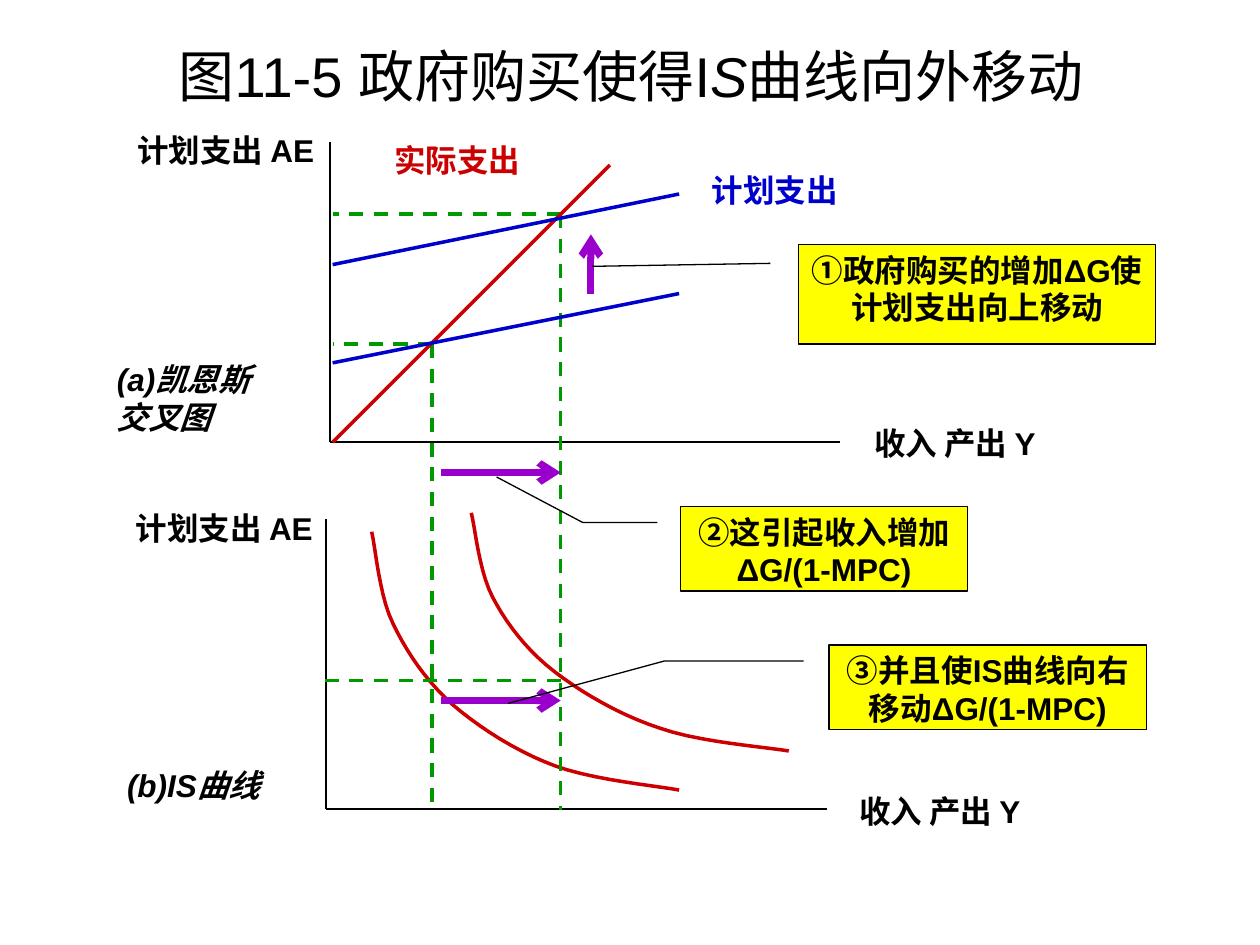
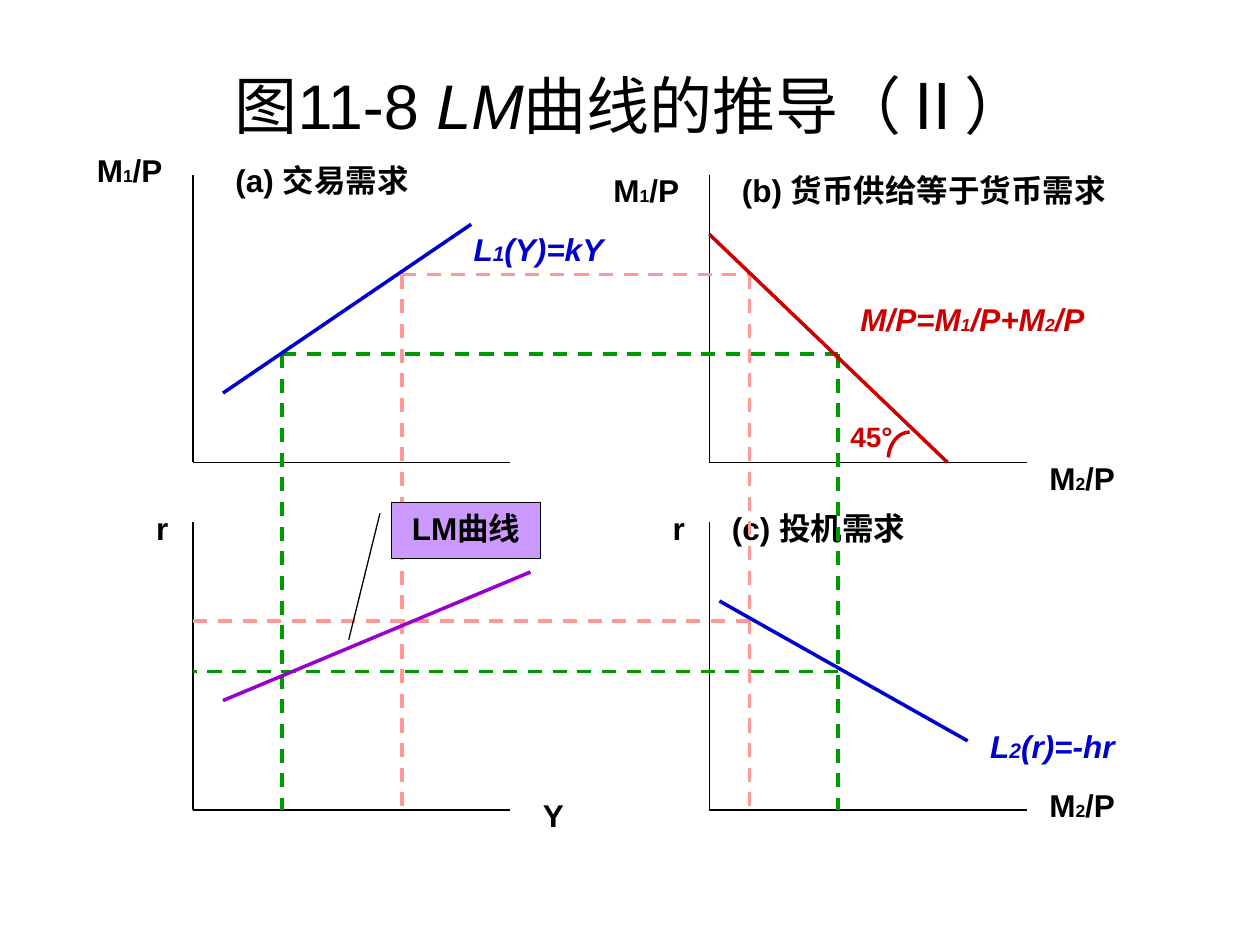
from lxml import etree
from pptx import Presentation
from pptx.dml.color import RGBColor
from pptx.enum.dml import MSO_LINE
from pptx.enum.shapes import MSO_CONNECTOR, MSO_SHAPE
from pptx.enum.text import MSO_ANCHOR, MSO_AUTO_SIZE, PP_ALIGN
from pptx.oxml.ns import qn
from pptx.util import Pt

PX = 9144
FONT = "Arial"
BLACK = RGBColor(0x00, 0x00, 0x00)
RED = RGBColor(0xCC, 0x00, 0x00)
BLUE = RGBColor(0x00, 0x00, 0xCC)
GREEN = RGBColor(0x00, 0x99, 0x00)
PINK = RGBColor(0xFF, 0x99, 0x99)
PURPLE = RGBColor(0x99, 0x00, 0xCC)
YELLOW = RGBColor(0xFF, 0xFF, 0x00)
LILAC = RGBColor(0xCC, 0x99, 0xFF)
DASH = MSO_LINE.DASH
STRAIGHT = MSO_CONNECTOR.STRAIGHT
CALLOUT_1 = MSO_SHAPE.LINE_CALLOUT_1
CALLOUT_2 = MSO_SHAPE.LINE_CALLOUT_2
CENTER = PP_ALIGN.CENTER
MIDDLE = MSO_ANCHOR.MIDDLE
FIT_SHAPE = MSO_AUTO_SIZE.SHAPE_TO_FIT_TEXT
NO_FIT = MSO_AUTO_SIZE.NONE
STEPS = 10


def add_run(paragraph, text, size, color=BLACK, bold=True, italic=False):
    run = paragraph.add_run()
    run.text = text
    run.font.name = FONT
    run.font.size = Pt(size)
    run.font.bold = bold
    run.font.italic = italic
    run.font.color.rgb = color


def add_line(slide, x1, y1, x2, y2, color, width=2, dashed=False, arrow=False):
    line = slide.shapes.add_connector(STRAIGHT, x1 * PX, y1 * PX, x2 * PX, y2 * PX)
    line.line.color.rgb = color
    line.line.width = Pt(width)
    if dashed:
        line.line.dash_style = DASH
    properties = line._element.spPr
    if arrow:
        etree.SubElement(properties.find(qn("a:ln")), qn("a:tailEnd"), type="arrow")
    etree.SubElement(properties, qn("a:effectLst"))


M1_P = [("M", 18), ("1", 10), ("/P", 18)]
M2_P = [("M", 18), ("2", 10), ("/P", 18)]

is_shift = {
    "title": [("图11-5 政府购买使得I", False), ("S", True), ("曲线向外移动", False)],
    "title_top": 13,
    "title_size": 32,
    "labels": [
        (303, 107, 155, [("实际支出", 18)], RED, False),
        (555, 131, 155, [("计划支出", 18)], BLUE, False),
        (99, 99, 165, [("计划支出 AE", 18)], BLACK, False),
        (684, 332, 178, [("收入 产出 Y", 18)], BLACK, False),
        (83, 281, 138, [("(a)凯恩斯交叉图", 18)], BLACK, True),
        (98, 399, 162, [("计划支出 AE", 18)], BLACK, False),
        (672, 624, 175, [("收入 产出 Y", 18)], BLACK, False),
        (91, 603, 138, [("(b)IS曲线", 18)], BLACK, True),
    ],
    "curves": [
        [(295, 422), (298, 434), (301, 473), (312, 495), (323, 518), (338, 540), (359, 559),
         (381, 578), (411, 597), (441, 608), (471, 619), (523, 624), (539, 627)],
        [(374, 407), (377, 418), (380, 453), (391, 474), (402, 495), (418, 516), (440, 533),
         (462, 550), (493, 568), (524, 578), (555, 589), (609, 593), (626, 596)],
    ],
    "guides": [
        (343, 273, 343, 643, GREEN),
        (445, 170, 445, 643, GREEN),
        (343, 273, 264, 273, GREEN),
        (445, 170, 264, 170, GREEN),
        (445, 540, 256, 540, GREEN),
    ],
    "graphs": [
        (264, 351, 484, 131, RED),
        (264, 288, 539, 233, BLUE),
        (264, 210, 539, 154, BLUE),
    ],
    "arrows": [(469, 233, 469, 186), (350, 375, 445, 375), (350, 556, 445, 556)],
    "axes": [(262, 113, 351, 667), (259, 412, 642, 656)],
    "callouts": [
        (CALLOUT_1, 634, 194, 283, 79, YELLOW, "①政府购买的增加ΔG使计划支出向上移动",
         [0.19, -0.08, 0.22, -0.58]),
        (CALLOUT_2, 540, 402, 228, 67, YELLOW, "②这引起收入增加ΔG/(1-MPC)",
         [0.19, -0.08, 0.19, -0.34, -0.35, -0.64]),
        (CALLOUT_2, 658, 512, 252, 67, YELLOW, "③并且使IS曲线向右移动ΔG/(1-MPC)",
         [0.19, -0.08, 0.19, -0.52, 0.69, -1.01]),
    ],
}

lm_derivation = {
    "title": [("图11-8 ", False), ("LM", True), ("曲线的推导（Ⅱ）", False)],
    "title_top": 36,
    "title_size": 36,
    "labels": [
        (366, 178, 211, [("L", 18), ("1", 12), ("(Y)=kY", 18)], BLUE, True),
        (177, 123, 170, [("(a) 交易需求", 18)], BLACK, False),
        (67, 115, 82, M1_P, BLACK, False),
        (579, 131, 346, [("(b) 货币供给等于货币需求", 18)], BLACK, False),
        (477, 131, 82, M1_P, BLACK, False),
        (823, 359, 110, M2_P, BLACK, False),
        (823, 619, 87, M2_P, BLACK, False),
        (571, 399, 181, [("(c) 投机需求", 18)], BLACK, False),
        (524, 399, 32, [("r", 18)], BLACK, False),
        (114, 399, 31, [("r", 18)], BLACK, False),
        (421, 627, 31, [("Y", 18)], BLACK, False),
        (673, 233, 217,
         [("M/P=M", 18), ("1", 10), ("/P+M", 18), ("2", 10), ("/P", 18)], RED, True),
        (776, 572, 211, [("L", 18), ("2", 12), ("(r)=-hr", 18)], BLUE, True),
        (665, 328, 97, [("45°", 16)], RED, False),
    ],
    "curves": [[(722, 343), (713, 343), (706, 352), (705, 363)]],
    "guides": [
        (224, 281, 224, 643, GREEN),
        (224, 281, 665, 281, GREEN),
        (665, 281, 665, 643, GREEN),
        (665, 533, 153, 533, GREEN),
        (319, 218, 319, 643, PINK),
        (319, 218, 595, 218, PINK),
        (595, 218, 595, 643, PINK),
        (595, 493, 153, 493, PINK),
    ],
    "graphs": [
        (177, 312, 374, 178, BLUE),
        (563, 186, 752, 367, RED),
        (571, 477, 768, 588, BLUE),
        (177, 556, 421, 454, PURPLE),
    ],
    "arrows": [],
    "axes": [(x, top, bottom, x + 252)
             for x in (153, 563) for top, bottom in ((139, 367), (414, 643))],
    "callouts": [
        (CALLOUT_1, 311, 399, 118, 44, LILAC, "LM曲线", [0.19, -0.08, 2.47, -0.29]),
    ],
}

deck = Presentation()
deck.slide_width = 1000 * PX
deck.slide_height = 750 * PX

for figure in (is_shift, lm_derivation):
    slide = deck.slides.add_slide(deck.slide_layouts[5])
    title = slide.shapes.title
    title.left, title.top = 51 * PX, figure["title_top"] * PX
    title.width, title.height = 900 * PX, 94 * PX
    title.text_frame.auto_size = NO_FIT
    title.text_frame.vertical_anchor = MIDDLE
    heading = title.text_frame.paragraphs[0]
    heading.alignment = CENTER
    for text, italic in figure["title"]:
        add_run(heading, text, figure["title_size"], bold=False, italic=italic)

    for x, y, width, runs, color, italic in figure["labels"]:
        label = slide.shapes.add_textbox(x * PX, y * PX, width * PX, 40 * PX).text_frame
        label.word_wrap = True
        label.auto_size = FIT_SHAPE
        for text, size in runs:
            add_run(label.paragraphs[0], text, size, color, italic=italic)

    for x, top, bottom, right in figure["axes"]:
        add_line(slide, x, top, x, bottom, BLACK, width=1)
        add_line(slide, x, bottom, right, bottom, BLACK, width=1)

    for knots in figure["curves"]:
        points = []
        for start in range(0, len(knots) - 1, 3):
            a, b, c, d = knots[start:start + 4]
            for step in range(1, STEPS + 1):
                t = step / STEPS
                u = 1 - t
                points.append([
                    round(PX * (u**3 * a[i] + 3 * u * u * t * b[i] + 3 * u * t * t * c[i] + t**3 * d[i]))
                    for i in (0, 1)
                ])
        builder = slide.shapes.build_freeform(knots[0][0] * PX, knots[0][1] * PX)
        builder.add_line_segments(points, close=False)
        curve = builder.convert_to_shape()
        curve.shadow.inherit = False
        curve.fill.background()
        curve.line.color.rgb = RED
        curve.line.width = Pt(2)

    for guide in figure["guides"]:
        add_line(slide, *guide, dashed=True)
    for graph in figure["graphs"]:
        add_line(slide, *graph)
    for arrow in figure["arrows"]:
        add_line(slide, *arrow, PURPLE, width=4, arrow=True)

    for kind, x, y, width, height, fill, text, leader in figure["callouts"]:
        callout = slide.shapes.add_shape(kind, x * PX, y * PX, width * PX, height * PX)
        for index, value in enumerate(leader):
            callout.adjustments[index] = value
        callout.shadow.inherit = False
        callout.fill.solid()
        callout.fill.fore_color.rgb = fill
        callout.line.color.rgb = BLACK
        callout.line.width = Pt(0.75)
        callout.text_frame.word_wrap = True
        callout.text_frame.vertical_anchor = MSO_ANCHOR.TOP
        note = callout.text_frame.paragraphs[0]
        note.alignment = CENTER
        add_run(note, text, 18)

deck.save("out.pptx")
